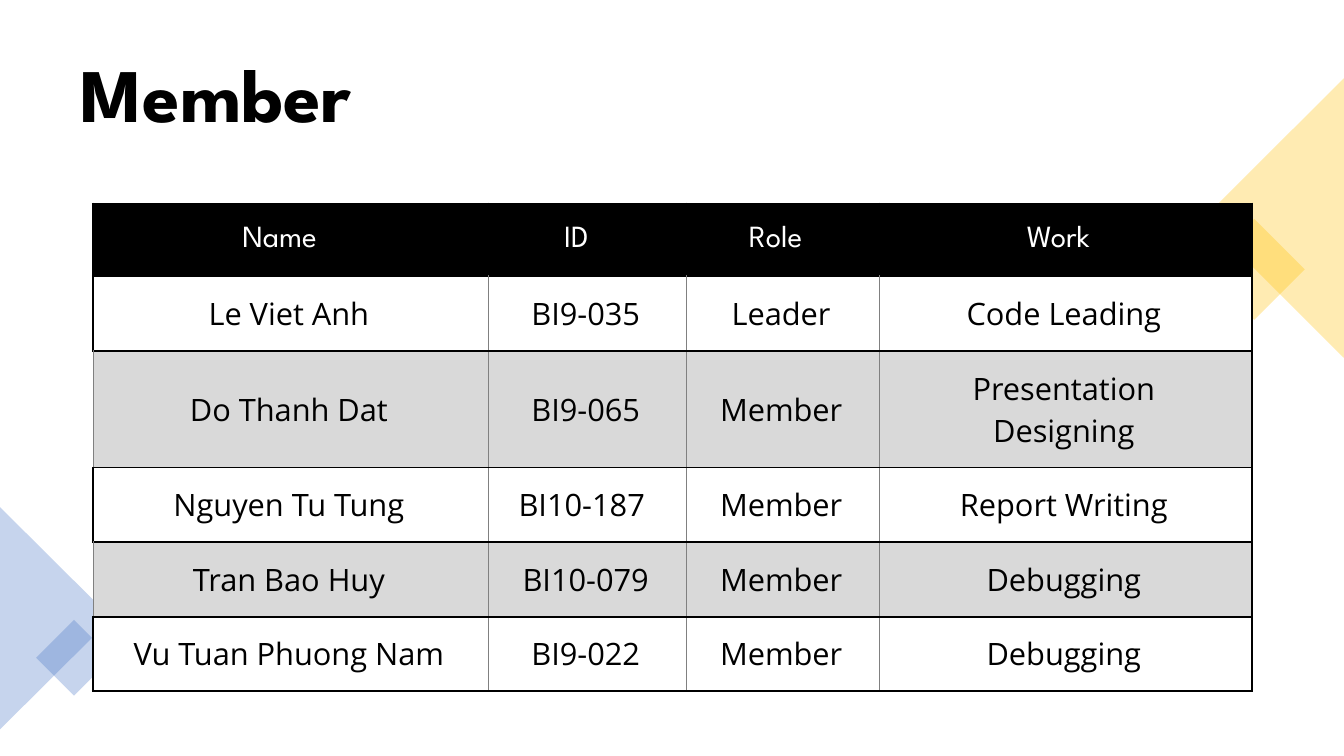
from dataclasses import dataclass

from lxml.etree import SubElement
from pptx import Presentation
from pptx.dml.color import RGBColor
from pptx.enum.shapes import MSO_SHAPE
from pptx.enum.text import MSO_ANCHOR, PP_ALIGN
from pptx.oxml.ns import qn
from pptx.util import Cm, Pt


@dataclass(frozen=True)
class Theme:
    black: str = "000000"
    white: str = "FFFFFF"
    band: str = "D9D9D9"
    grid: str = "808080"
    yellow: str = "FFC000"
    blue: str = "4472C4"
    heading_font: str = "League Spartan"
    body_font: str = "Open Sans"
    title_size: int = 54
    table_size: int = 22
    thick: float = 1.5
    thin: float = 0.5
    opacity: int = 30


HEADER = ["Name ", "ID ", "Role", "Work"]
MEMBERS = [
    ["Le Viet Anh", "BI9-035", "Leader", "Code Leading"],
    ["Do Thanh Dat", "BI9-065", "Member", "Presentation Designing"],
    ["Nguyen Tu Tung", "BI10-187 ", "Member", "Report Writing"],
    ["Tran Bao Huy", "BI10-079", "Member", "Debugging"],
    ["Vu Tuan Phuong Nam", "BI9-022", "Member", "Debugging"],
]
COLUMN_WIDTHS = [9.96, 5, 4.85, 9.4]
ROW_HEIGHTS = [1.83, 1.83, 2.77, 1.83, 1.83, 1.83]


def apply(target, values):
    for name, value in values.items():
        setattr(target, name, value)


class SlideBuilder:
    def __init__(self, deck, theme):
        self.theme = theme
        self.page = deck.slides.add_slide(deck.slide_layouts[5])

    def add_text(self, frame, text, size, font, color, align, bold=False):
        para = frame.paragraphs[0]
        para.alignment = align
        span = para.add_run()
        span.text = text
        apply(span.font, {"size": Pt(size), "name": font, "bold": bold})
        span.font.color.rgb = RGBColor.from_string(color)
        return para

    def title(self, text, left, top, width, height):
        box = self.page.shapes.title
        apply(box, {"left": Cm(left), "top": Cm(top), "width": Cm(width), "height": Cm(height)})
        apply(box.text_frame, {"vertical_anchor": MSO_ANCHOR.MIDDLE, "word_wrap": True})
        theme = self.theme
        para = self.add_text(box.text_frame, text, theme.title_size, theme.heading_font,
                             theme.black, PP_ALIGN.LEFT, bold=True)
        para.line_spacing = 0.9

    def ornament(self, kind, left, top, width, height, rotation, color):
        """Add a translucent shape without an outline."""
        shape = self.page.shapes.add_shape(kind, Cm(left), Cm(top), Cm(width), Cm(height))
        shape.rotation = rotation
        shape.shadow.inherit = False
        shape.line.fill.background()
        shape.fill.solid()
        shape.fill.fore_color.rgb = RGBColor.from_string(color)
        color_node = next(shape.element.spPr.iter(qn("a:srgbClr")))
        SubElement(color_node, qn("a:alpha"), val=str(self.theme.opacity * 1000))

    def borders(self, cell, lines):
        properties = cell._tc.get_or_add_tcPr()
        for side, (color, width) in lines.items():
            line = SubElement(properties, qn(f"a:ln{side}"), w=str(Pt(width)))
            fill = SubElement(line, qn("a:solidFill"))
            SubElement(fill, qn("a:srgbClr"), val=color)

    def cell(self, cell, text, row, column, last_column):
        theme = self.theme
        heading = row == 0
        shaded = not heading and row % 2 == 0
        strong, light = (theme.black, theme.thick), (theme.grid, theme.thin)
        self.borders(cell, {
            "L": strong if heading or (column == 0 and not shaded) else light,
            "R": strong if heading or column == last_column else light,
            "T": strong,
            "B": strong,
        })
        cell.fill.solid()
        background = theme.black if heading else theme.band if shaded else theme.white
        cell.fill.fore_color.rgb = RGBColor.from_string(background)
        apply(cell, {
            "vertical_anchor": MSO_ANCHOR.MIDDLE,
            "margin_left": Cm(0.53),
            "margin_right": Cm(0.89 if heading else 0.61),
            "margin_top": Cm(0.41),
            "margin_bottom": Cm(0.41),
        })
        self.add_text(cell.text_frame, text, theme.table_size,
                      theme.heading_font if heading else theme.body_font,
                      theme.white if heading else theme.black, PP_ALIGN.CENTER)

    def table(self, rows, left, top, widths, heights):
        frame = self.page.shapes.add_table(len(rows), len(widths), Cm(left), Cm(top),
                                           Cm(sum(widths)), Cm(sum(heights)))
        table = frame.table
        apply(table, {"first_row": False, "horz_banding": False})
        for column, width in zip(table.columns, widths):
            column.width = Cm(width)
        for row, height in zip(table.rows, heights):
            row.height = Cm(height)
        for row, texts in enumerate(rows):
            for column, text in enumerate(texts):
                self.cell(table.cell(row, column), text, row, column, len(widths) - 1)


def main():
    deck = Presentation()
    apply(deck, {"slide_width": Cm(33.87), "slide_height": Cm(19.05)})
    theme = Theme()
    builder = SlideBuilder(deck, theme)
    builder.title("Member", 1.78, 0.89, 30.3, 3.15)
    square, triangle = MSO_SHAPE.RECTANGLE, MSO_SHAPE.ISOSCELES_TRIANGLE
    builder.ornament(square, 30.71, 5.89, 1.8, 1.8, 45, theme.yellow)
    builder.ornament(triangle, 28.58, 3.73, 7.04, 3.53, 270, theme.yellow)
    builder.ornament(triangle, -1.4, 14.17, 5.61, 2.82, 90, theme.blue)
    builder.ornament(square, 1.19, 15.9, 1.35, 1.35, 45, theme.blue)
    builder.table([HEADER] + MEMBERS, 2.34, 5.13, COLUMN_WIDTHS, ROW_HEIGHTS)
    deck.save("out.pptx")


if __name__ == "__main__":
    main()
